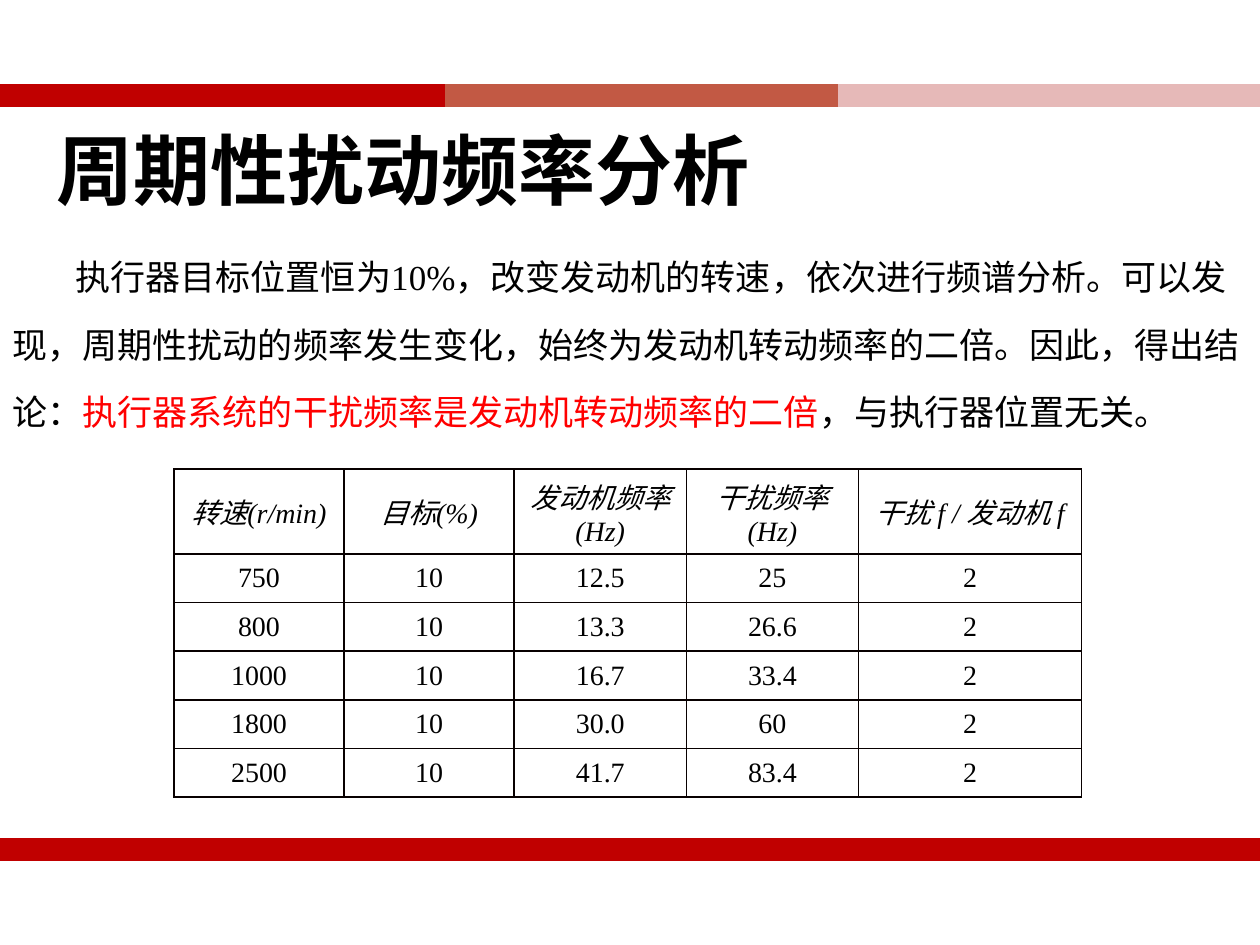
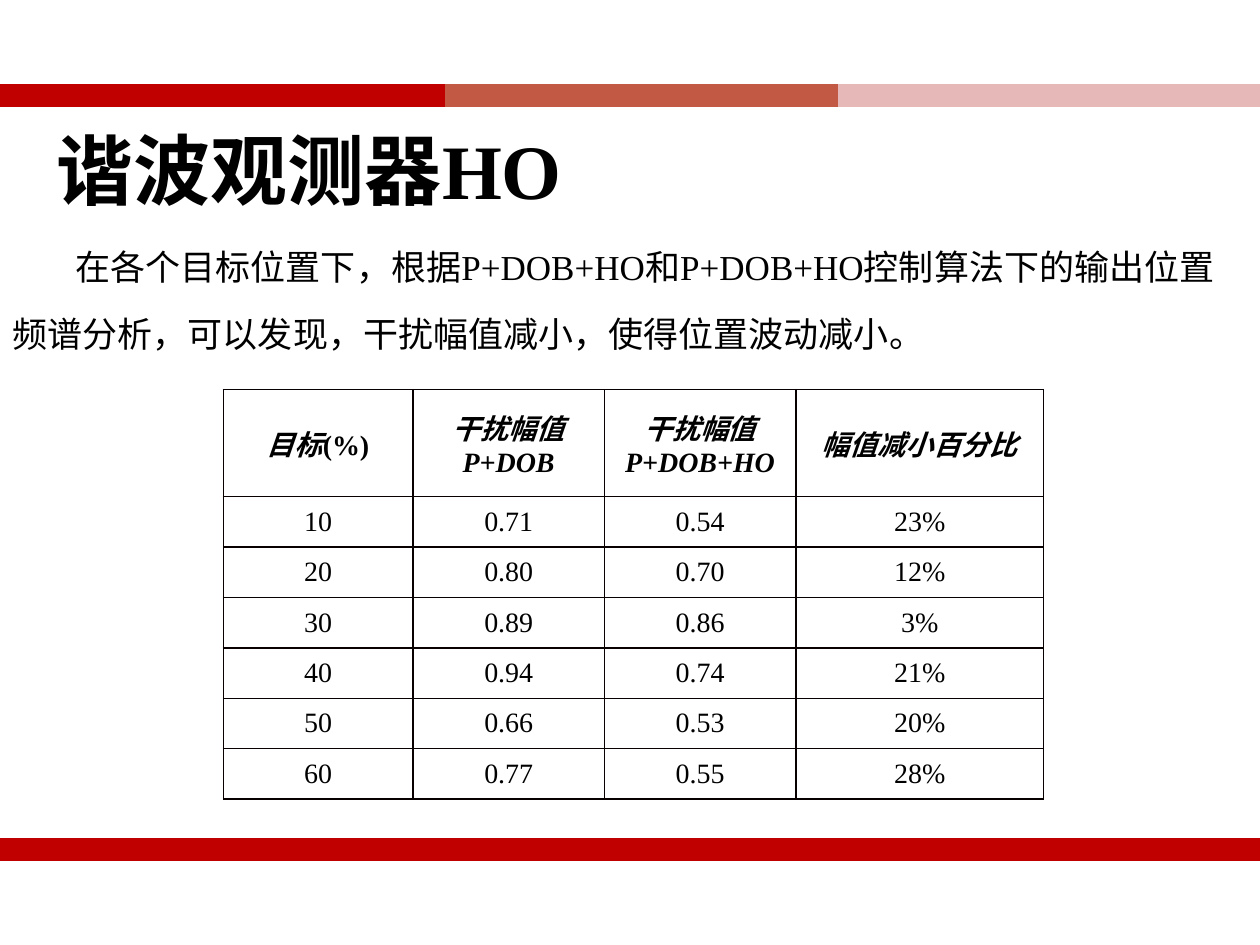
from lxml.etree import SubElement
from pptx import Presentation
from pptx.dml.color import RGBColor
from pptx.enum.shapes import MSO_CONNECTOR
from pptx.enum.text import MSO_ANCHOR, MSO_AUTO_SIZE, PP_ALIGN
from pptx.oxml import parse_xml
from pptx.oxml.ns import nsdecls, qn
from pptx.util import Pt

WIDTH, HEIGHT = 720, 540
BLACK, RED, CRIMSON, RUST, PINK = "000000", "FF0000", "C00000", "C25944", "E6B9B8"
BORDER = "080000"
TOP_BAND_Y, BOTTOM_BAND_Y = 54.6, 485.4
TOP_BAND_STOPS = [0, 254.2, 478.8, WIDTH]


def rgb(value):
    return RGBColor.from_string(value)


class Deck:
    font = "Times New Roman"
    title_size, body_size, cell_size = 44, 20, 16

    def __init__(self):
        self.presentation = Presentation()
        self.presentation.slide_width = Pt(WIDTH)
        self.presentation.slide_height = Pt(HEIGHT)
        self.slide = None

    def start(self, title):
        self.slide = self.presentation.slides.add_slide(self.presentation.slide_layouts[1])
        self.band(0, WIDTH, BOTTOM_BAND_Y, CRIMSON)
        for start, end, color in zip(TOP_BAND_STOPS, TOP_BAND_STOPS[1:], [CRIMSON, RUST, PINK]):
            self.band(start, end, TOP_BAND_Y, color)
        heading = self.place(self.slide.shapes.title, 25.2, 66.2, 426.2, 60.5)
        self.run(heading, title, self.title_size, bold=True)

    def band(self, start, end, y, color):
        band = self.slide.shapes.add_connector(
            MSO_CONNECTOR.STRAIGHT, Pt(start), Pt(y), Pt(end), Pt(y))
        band.line.color.rgb = rgb(color)
        band.line.width = Pt(13)
        SubElement(band.element.spPr, qn("a:effectLst"))

    def place(self, holder, left, top, width, height):
        holder.left, holder.top = Pt(left), Pt(top)
        holder.width, holder.height = Pt(width), Pt(height)
        frame = holder.text_frame
        frame.word_wrap = True
        frame.auto_size = MSO_AUTO_SIZE.NONE
        frame.vertical_anchor = MSO_ANCHOR.TOP
        paragraph = frame.paragraphs[0]
        paragraph.alignment = PP_ALIGN.LEFT
        paragraph.space_before = Pt(0)
        return paragraph

    def run(self, paragraph, text, size, color=BLACK, bold=False, italic=False):
        run = paragraph.add_run()
        run.text = text
        run.font.name = self.font
        run.font.size = Pt(size)
        run.font.color.rgb = rgb(color)
        run.font.bold, run.font.italic = bold, italic

    def body(self, top, height, parts):
        paragraph = self.place(self.slide.placeholders[1], 0, top, WIDTH, height)
        paragraph.line_spacing = 1.6
        properties = paragraph._p.get_or_add_pPr()
        properties.set("marL", "0")
        properties.set("indent", str(Pt(36)))
        SubElement(properties, qn("a:buNone"))
        for text, color in parts:
            self.run(paragraph, text, self.body_size, color)

    def table(self, left, top, widths, header_height, row_height, header, rows, bold=False):
        heights = [header_height] + [row_height] * len(rows)
        table = self.slide.shapes.add_table(
            len(heights), len(widths), Pt(left), Pt(top), Pt(sum(widths)), Pt(sum(heights))).table
        table.first_row = table.horz_banding = False
        for column, width in zip(table.columns, widths):
            column.width = Pt(width)
        for row, height in zip(table.rows, heights):
            row.height = Pt(height)
        for column, parts in enumerate(header):
            for text, italic in parts:
                self.run(self.cell(table, 0, column), text, self.cell_size, bold=bold, italic=italic)
        for row, values in enumerate(rows, 1):
            for column, value in enumerate(values):
                self.run(self.cell(table, row, column), value, self.cell_size)

    def cell(self, table, row, column):
        cell = table.cell(row, column)
        paragraph = cell.text_frame.paragraphs[0]
        if paragraph.runs:
            return paragraph
        cell.vertical_anchor = MSO_ANCHOR.MIDDLE
        cell.margin_left = cell.margin_right = Pt(5)
        cell.margin_top = cell.margin_bottom = 0
        cell.fill.background()
        properties = cell._tc.get_or_add_tcPr()
        for position, side in enumerate("LRTB"):
            properties.insert(position, parse_xml(
                f'<a:ln{side} {nsdecls("a")} w="{Pt(1)}"><a:solidFill>'
                f'<a:srgbClr val="{BORDER}"/></a:solidFill></a:ln{side}>'))
        paragraph.alignment = PP_ALIGN.CENTER
        return paragraph


def frequency_analysis(deck):
    deck.start("周期性扰动频率分析")
    deck.body(128.2, 123.8, [
        ("执行器目标位置恒为10%，改变发动机的转速，依次进行频谱分析。可以发现，"
         "周期性扰动的频率发生变化，始终为发动机转动频率的二倍。因此，得出结论：", BLACK),
        ("执行器系统的干扰频率是发动机转动频率的二倍", RED),
        ("，与执行器位置无关。", BLACK),
    ])
    header = ["转速(r/min)", "目标(%)", "发动机频率(Hz)", "干扰频率(Hz)", "干扰 f / 发动机 f"]
    measurements = [
        ("750", "12.5", "25"),
        ("800", "13.3", "26.6"),
        ("1000", "16.7", "33.4"),
        ("1800", "30.0", "60"),
        ("2500", "41.7", "83.4"),
    ]
    deck.table(99.4, 268, [97.2, 97.2, 98.4, 98.4, 127.4], 48.6, 27.8,
               [[(label, True)] for label in header],
               [(speed, "10", engine, disturbance, "2")
                for speed, engine, disturbance in measurements])


def harmonic_observer(deck):
    deck.start("谐波观测器HO")
    deck.body(122.4, 85, [
        ("在各个目标位置下，根据P+DOB+HO和P+DOB+HO控制算法下的输出位置频谱分析，"
         "可以发现，干扰幅值减小，使得位置波动减小。", BLACK),
    ])
    header = [
        [("目标", True), ("(%)", False)],
        [("干扰幅值 P+DOB", True)],
        [("干扰幅值 P+DOB+HO", True)],
        [("幅值减小百分比", True)],
    ]
    amplitudes = [
        ("10", "0.71", "0.54", "23%"),
        ("20", "0.80", "0.70", "12%"),
        ("30", "0.89", "0.86", "3%"),
        ("40", "0.94", "0.74", "21%"),
        ("50", "0.66", "0.53", "20%"),
        ("60", "0.77", "0.55", "28%"),
    ]
    deck.table(127.6, 222.6, [108.4, 109.4, 109.4, 141.6], 61.2, 28.8,
               header, amplitudes, bold=True)


def main():
    deck = Deck()
    frequency_analysis(deck)
    harmonic_observer(deck)
    deck.presentation.save("out.pptx")


if __name__ == "__main__":
    main()
